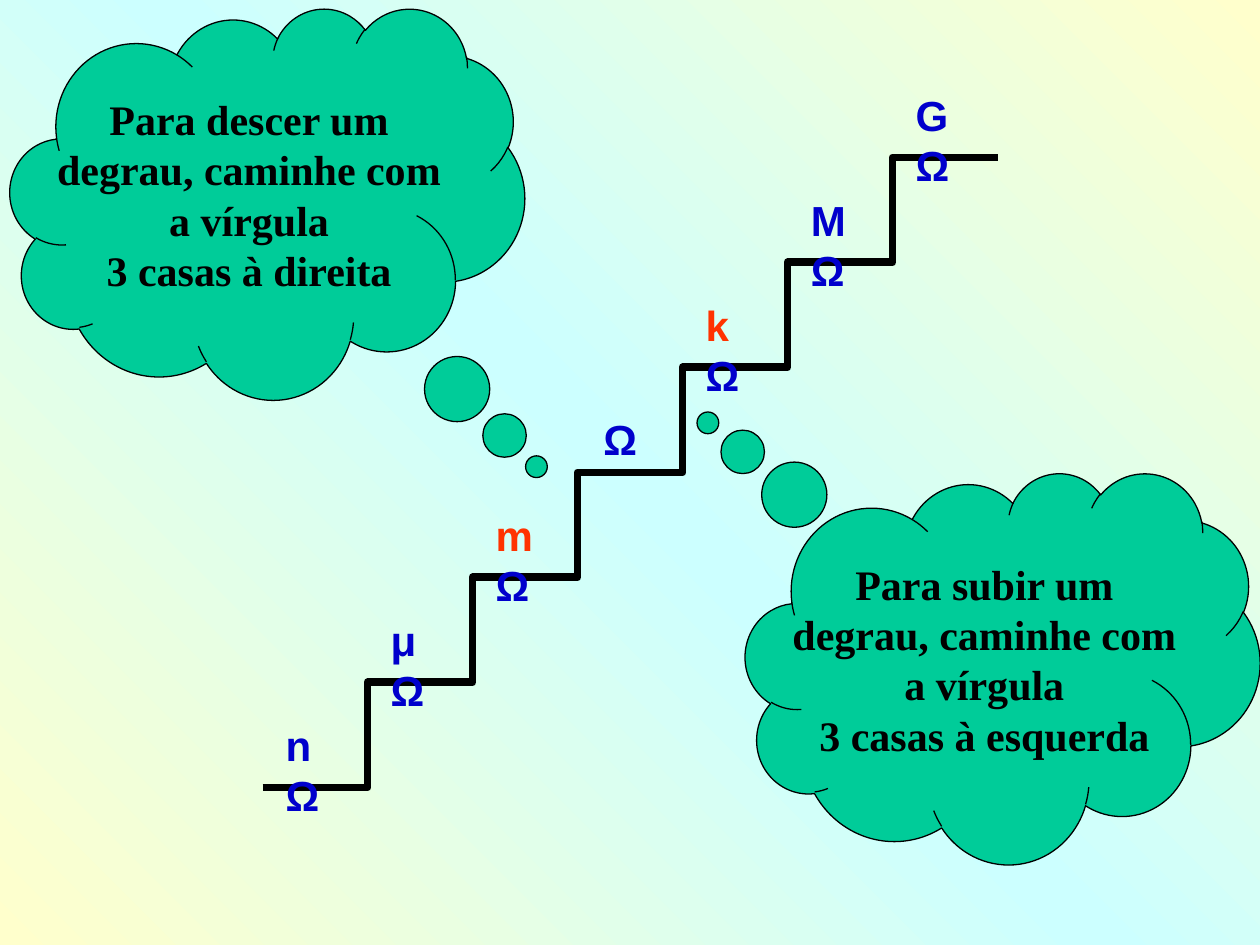
from copy import deepcopy
from dataclasses import dataclass

from pptx import Presentation
from pptx import util as u
from pptx.dml.color import RGBColor
from pptx.enum import shapes, text
from pptx.oxml.ns import qn


@dataclass(frozen=True)
class Theme:
    yellow: str = "FFFFCC"
    aqua: str = "CCFFFF"
    green: str = "00CC99"
    black: str = "000000"
    blue: str = "0000CC"
    red: str = "FF3300"
    size: float = 24
    label_font: str = "Arial"
    cloud_font: str = "Times New Roman"


@dataclass(frozen=True)
class Unit:
    prefix: str
    width: float
    height: float = 64.8
    prefix_color: str = Theme.blue
    left_shift: float = 0
    top_shift: float = 0


@dataclass(frozen=True)
class Cloud:
    left: float
    top: float
    tail: tuple[float, float]
    words: str


THEME = Theme()
STEP = 60  # both the tread and the rise of a stair
STAIR_LEFT, STAIR_BOTTOM = 150, 450
LABEL_LEFT, LABEL_TOP = 156.2, 407.5

# Units from the lowest stair to the highest
UNITS = [
    Unit("n", 43.5, 36),
    Unit("μ", 43.5, 36),
    Unit("m", 50, prefix_color=THEME.red),
    Unit("", 32.4, left_shift=1.5, top_shift=5),
    Unit("k", 42, prefix_color=THEME.red),
    Unit("M", 48.5),
    Unit("G", 47),
]

CLOUDS = [
    Cloud(5.8, 4.5, (0.523, 0.673),
          "Para descer um\ndegrau, caminhe com\na vírgula\n3 casas à direita"),
    Cloud(426, 270, (-0.573, -0.627),
          "Para subir um\ndegrau, caminhe com\na vírgula\n3 casas à esquerda"),
]


def color(code: str) -> RGBColor:
    return RGBColor.from_string(code)


def format_span(span, font: str, code: str) -> None:
    span.font.name = font
    span.font.size = u.Pt(THEME.size)
    span.font.bold = True
    span.font.color.rgb = color(code)


def paint_background(page) -> None:
    fill = page.background.fill
    fill.gradient()
    fill.gradient_angle = 225
    stop_list = page.element.find(".//" + qn("a:gsLst"))
    stop_list.append(deepcopy(stop_list[-1]))
    codes = (THEME.yellow, THEME.aqua, THEME.yellow)
    for index, (stop, code) in enumerate(zip(fill.gradient_stops, codes)):
        stop.position = index / 2
        stop.color.rgb = color(code)


def draw_stairs(page) -> None:
    x, y = STAIR_LEFT, STAIR_BOTTOM
    points = []
    for _ in UNITS:
        points += [(x, y), (x + STEP, y)]
        x, y = x + STEP, y - STEP
    builder = page.shapes.build_freeform(
        u.Pt(STAIR_LEFT), u.Pt(STAIR_BOTTOM), scale=1.0)
    builder.add_line_segments(
        [(u.Pt(px), u.Pt(py)) for px, py in points[1:]], close=False)
    stairs = builder.convert_to_shape()
    stairs.shadow.inherit = False
    stairs.fill.background()
    stairs.line.color.rgb = color(THEME.black)
    stairs.line.width = u.Pt(4.5)


def draw_unit(page, unit: Unit, index: int) -> None:
    box = page.shapes.add_textbox(
        u.Pt(LABEL_LEFT + index * STEP + unit.left_shift),
        u.Pt(LABEL_TOP - index * STEP + unit.top_shift),
        u.Pt(unit.width), u.Pt(unit.height))
    # The narrow box sets the ohm sign below its prefix
    box.text_frame.word_wrap = True
    para = box.text_frame.paragraphs[0]
    for letters, code in ((unit.prefix, unit.prefix_color), ("Ω", THEME.blue)):
        if letters:
            span = para.add_run()
            span.text = letters
            format_span(span, THEME.label_font, code)


def draw_cloud(page, cloud: Cloud) -> None:
    shape = page.shapes.add_shape(
        shapes.MSO_SHAPE.CLOUD_CALLOUT, u.Pt(cloud.left), u.Pt(cloud.top),
        u.Pt(294), u.Pt(223.5))
    shape.adjustments[0], shape.adjustments[1] = cloud.tail
    shape.shadow.inherit = False
    shape.fill.solid()
    shape.fill.fore_color.rgb = color(THEME.green)
    shape.line.color.rgb = color(THEME.black)
    shape.line.width = u.Pt(0.75)
    frame = shape.text_frame
    frame.text = cloud.words
    frame.word_wrap = False
    frame.vertical_anchor = text.MSO_ANCHOR.MIDDLE
    for para in frame.paragraphs:
        para.alignment = text.PP_ALIGN.CENTER
        for span in para.runs:
            format_span(span, THEME.cloud_font, THEME.black)


def main() -> None:
    deck = Presentation()
    deck.slide_width, deck.slide_height = u.Pt(720), u.Pt(540)
    page = deck.slides.add_slide(deck.slide_layouts.get_by_name("Blank"))
    paint_background(page)

    # Staircase with one unit on each stair
    draw_stairs(page)
    for index, unit in enumerate(UNITS):
        draw_unit(page, unit, index)

    # Rules for going down and up
    for cloud in CLOUDS:
        draw_cloud(page, cloud)
    deck.save("out.pptx")


if __name__ == "__main__":
    main()
